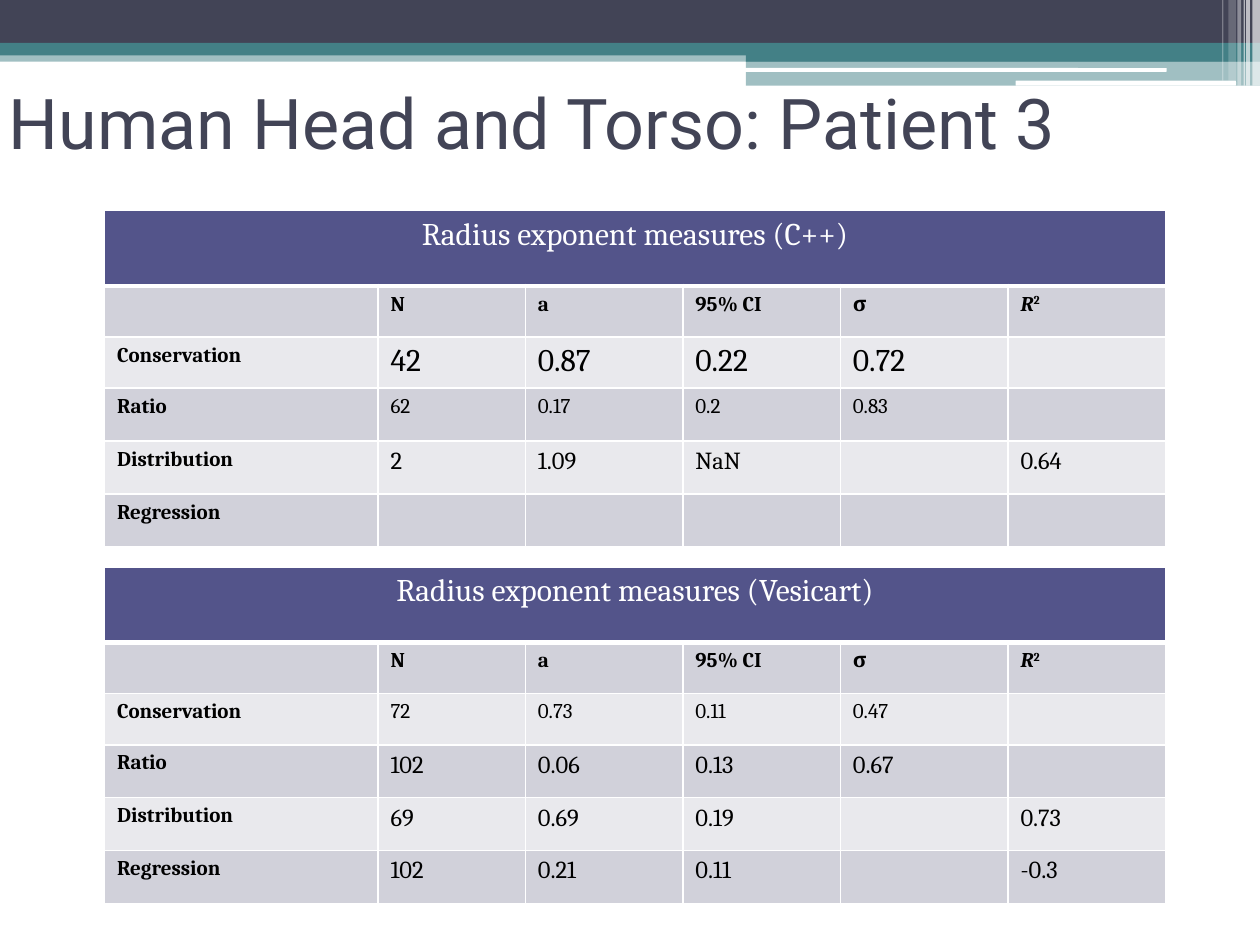
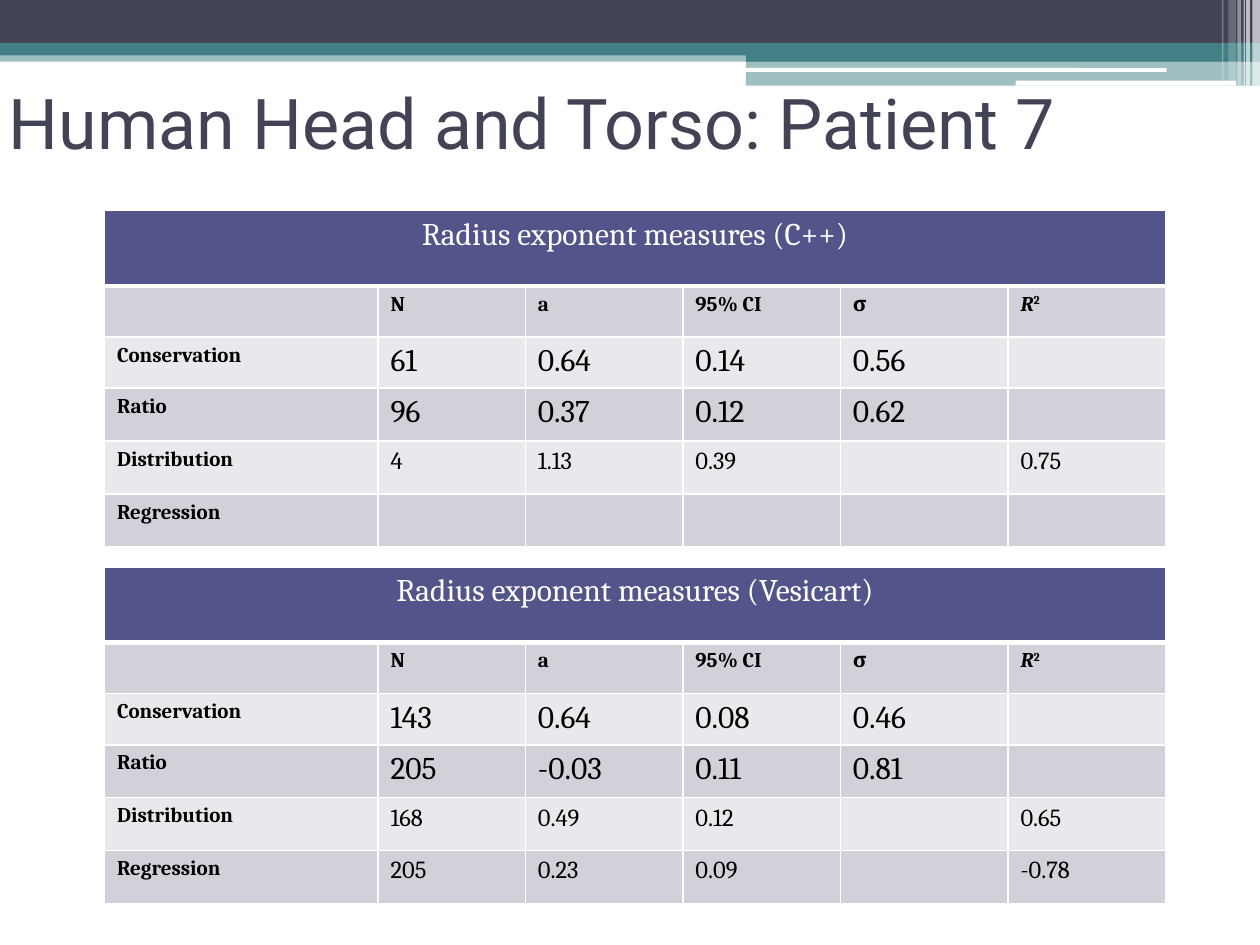
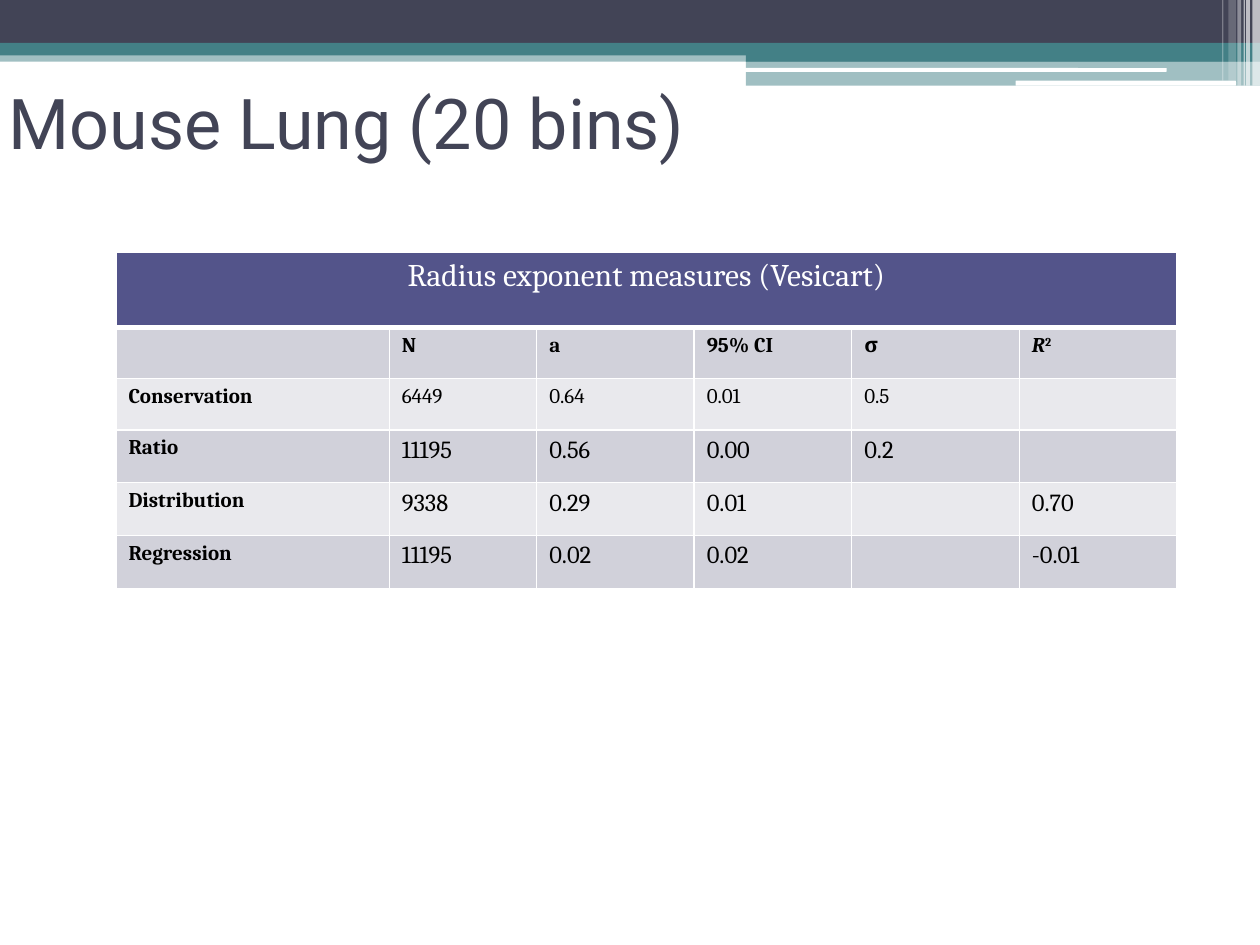
import dataclasses

import lxml.etree
import pptx
import pptx.dml.color
import pptx.enum.shapes
import pptx.enum.text
import pptx.oxml.ns
import pptx.util

PX = 9144
qn = pptx.oxml.ns.qn
RECT = pptx.enum.shapes.MSO_SHAPE.RECTANGLE
ROUND = pptx.enum.shapes.MSO_SHAPE.ROUNDED_RECTANGLE
CENTER = pptx.enum.text.PP_ALIGN.CENTER
LEFT = pptx.enum.text.PP_ALIGN.LEFT


@dataclasses.dataclass(frozen=True)
class Theme:
    slate: str = "424456"
    teal: str = "438086"
    white: str = "FFFFFF"
    black: str = "000000"
    heading: str = "53548A"
    stripes: tuple = ("D1D1DA", "E9E9ED")
    title_font: str = "Roboto"
    body_font: str = "Cambria"
    title_size: int = 40
    heading_size: int = 18
    label_size: int = 12


theme = Theme()


def assign(target, values):
    for name, value in values.items():
        setattr(target, name, value)


def add_run(paragraph, text, color, **values):
    run = paragraph.add_run()
    run.text = text
    assign(run.font, values)
    run.font.color.rgb = pptx.dml.color.RGBColor.from_string(color)
    return run


bands = [
    (RECT, 0, 40, 1000, 9, theme.teal, 50),
    (RECT, 0, 0, 1000, 34, theme.slate, 100),
    (RECT, 0, 34, 1000, 10, theme.teal, 100),
    (RECT, 592, 39, 408, 10, theme.teal, 100),
    (RECT, 592, 48, 408, 20, theme.teal, 50),
    (ROUND, 591, 54, 335, 3, theme.white, 100),
    (ROUND, 806, 64, 175, 4, theme.white, 100),
    (RECT, 994, 0, 6, 68, theme.white, 65),
    (RECT, 989, 0, 3, 68, theme.white, 65),
    (RECT, 987, 0, 1, 68, theme.white, 60),
    (RECT, 982, 0, 3, 68, theme.white, 40),
    (RECT, 975, 0, 6, 64, theme.white, 20),
    (RECT, 970, 0, 1, 64, theme.white, 30),
]
column_widths = [217, 117, 125, 125, 133, 125]
row_heights = [60, 40, 40, 42, 42, 42]
measures = ["", "N", "a", "95% CI", "σ", "R"]
methods = ["Conservation", "Ratio", "Distribution", "Regression"]
blank = [""] * 5

patients = [
    ("Human Head and Torso: Patient 3", [
        ("C++", 83, 167, [18, 12, 14, 12], [
            ["42", "0.87", "0.22", "0.72", ""],
            ["62", "0.17", "0.2", "0.83", ""],
            ["2", "1.09", "NaN", "", "0.64"],
            blank]),
        ("Vesicart", 83, 450, [12, 14, 14, 14], [
            ["72", "0.73", "0.11", "0.47", ""],
            ["102", "0.06", "0.13", "0.67", ""],
            ["69", "0.69", "0.19", "", "0.73"],
            ["102", "0.21", "0.11", "", "-0.3"]]),
    ]),
    ("Human Head and Torso: Patient 7", [
        ("C++", 83, 167, [18, 18, 14, 12], [
            ["61", "0.64", "0.14", "0.56", ""],
            ["96", "0.37", "0.12", "0.62", ""],
            ["4", "1.13", "0.39", "", "0.75"],
            blank]),
        ("Vesicart", 83, 450, [18, 18, 14, 14], [
            ["143", "0.64", "0.08", "0.46", ""],
            ["205", "-0.03", "0.11", "0.81", ""],
            ["168", "0.49", "0.12", "", "0.65"],
            ["205", "0.23", "0.09", "", "-0.78"]]),
    ]),
    ("Mouse Lung (20 bins)", [
        ("Vesicart", 92, 200, [12, 14, 14, 14], [
            ["6449", "0.64", "0.01", "0.5", ""],
            ["11195", "0.56", "0.00", "0.2", ""],
            ["9338", "0.29", "0.01", "", "0.70"],
            ["11195", "0.02", "0.02", "", "-0.01"]]),
    ]),
]

deck = pptx.Presentation()
assign(deck, {"slide_width": 1000 * PX, "slide_height": 750 * PX})
title_only = deck.slide_layouts[5]
slides = [deck.slides.add_slide(title_only) for patient in patients]

for order, (outline, left, top, width, height, color, opacity) in enumerate(bands):
    band = slides[0].shapes.add_shape(
        outline, left * PX, top * PX, width * PX, height * PX)
    band.shadow.inherit = False
    band.line.fill.background()
    band.fill.solid()
    band.fill.fore_color.rgb = pptx.dml.color.RGBColor.from_string(color)
    if opacity < 100:
        tint = band.element.spPr.find(".//" + qn("a:srgbClr"))
        lxml.etree.SubElement(tint, qn("a:alpha"), val=str(opacity * 1000))
    title_only.shapes.element.insert(2 + order, band.element)

for slide, (subject, studies) in zip(slides, patients):
    title = slide.shapes.title
    assign(title, {"left": 0, "top": 58 * PX, "width": 900 * PX, "height": 117 * PX})
    assign(title.text_frame, {
        "word_wrap": True,
        "auto_size": pptx.enum.text.MSO_AUTO_SIZE.NONE,
        "vertical_anchor": pptx.enum.text.MSO_ANCHOR.TOP,
        "margin_left": 7 * PX,
    })
    heading = title.text_frame.paragraphs[0]
    heading.alignment = LEFT
    add_run(heading, subject, theme.slate,
            name=theme.title_font, size=pptx.util.Pt(theme.title_size))

    for program, left, top, sizes, results in studies:
        study = slide.shapes.add_table(
            len(row_heights), len(column_widths), left * PX, top * PX,
            sum(column_widths) * PX, sum(row_heights) * PX).table
        for column, width in zip(study.columns, column_widths):
            column.width = width * PX
        for row, height in zip(study.rows, row_heights):
            row.height = height * PX
        study.cell(0, 0).merge(study.cell(0, len(measures) - 1))

        caption = [f"Radius exponent measures ({program})"] + [""] * 5
        lines = [caption, measures]
        lines += [[method] + values for method, values in zip(methods, results)]
        value_sizes = [theme.heading_size, theme.label_size] + sizes
        for r, line in enumerate(lines):
            for c, text in enumerate(line):
                cell = study.cell(r, c)
                cell.fill.solid()
                cell.fill.fore_color.rgb = pptx.dml.color.RGBColor.from_string(
                    theme.stripes[(r - 1) % 2] if r else theme.heading)
                properties = cell.fill._xPr
                for order, side in enumerate(["lnL", "lnR", "lnT", "lnB"]):
                    weight = 3 if r == 0 and side == "lnB" else 1
                    border = lxml.etree.Element(
                        qn("a:" + side), w=str(pptx.util.Pt(weight)))
                    ink = lxml.etree.SubElement(border, qn("a:solidFill"))
                    lxml.etree.SubElement(ink, qn("a:srgbClr"), val=theme.white)
                    properties.insert(order, border)

                paragraph = cell.text_frame.paragraphs[0]
                paragraph.alignment = LEFT if r else CENTER
                if not text:
                    continue
                is_label = r == 1 or (r > 1 and c == 0)
                size = theme.label_size if is_label else value_sizes[r]
                style = {"name": theme.body_font, "size": pptx.util.Pt(size),
                         "bold": is_label}
                color = theme.black if r else theme.white
                is_squared = r == 1 and text == "R"
                add_run(paragraph, text, color, italic=is_squared, **style)
                if is_squared:
                    exponent = add_run(paragraph, "2", color, **style)
                    exponent.font._element.set("baseline", "30000")

deck.save("out.pptx")
